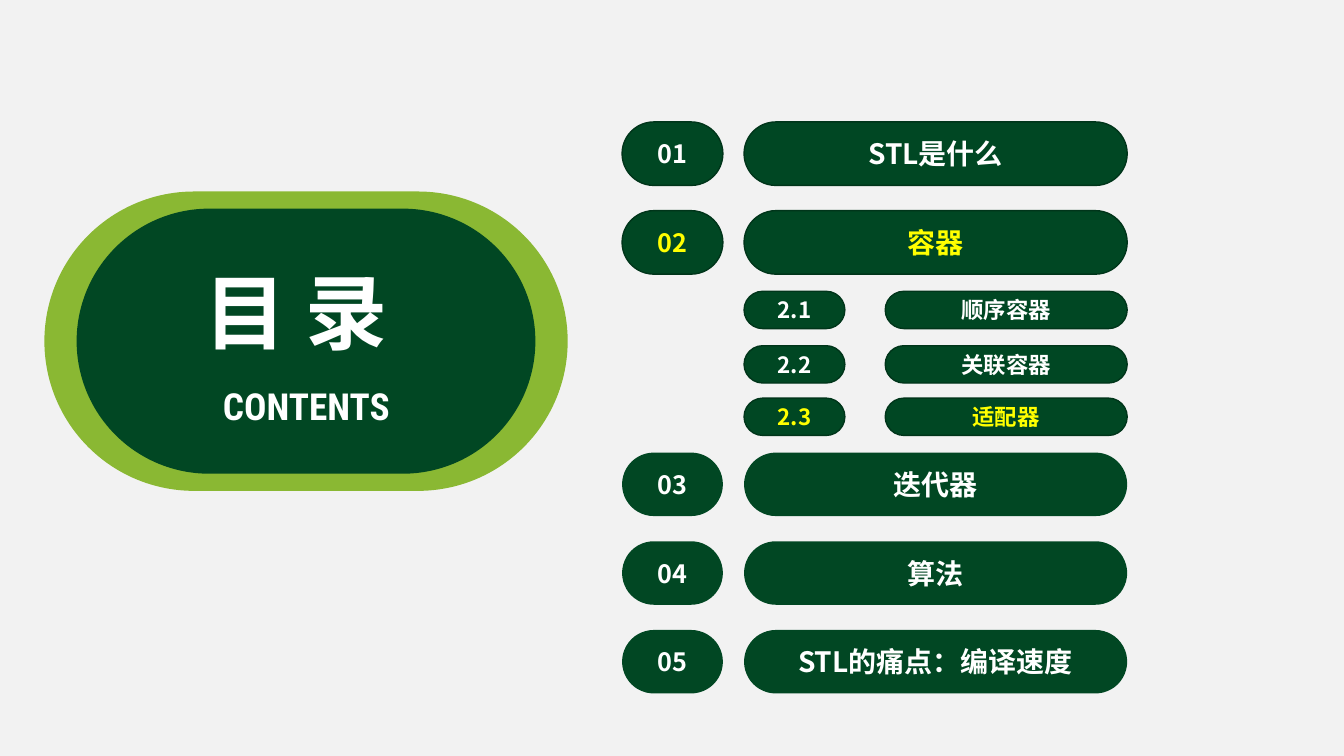
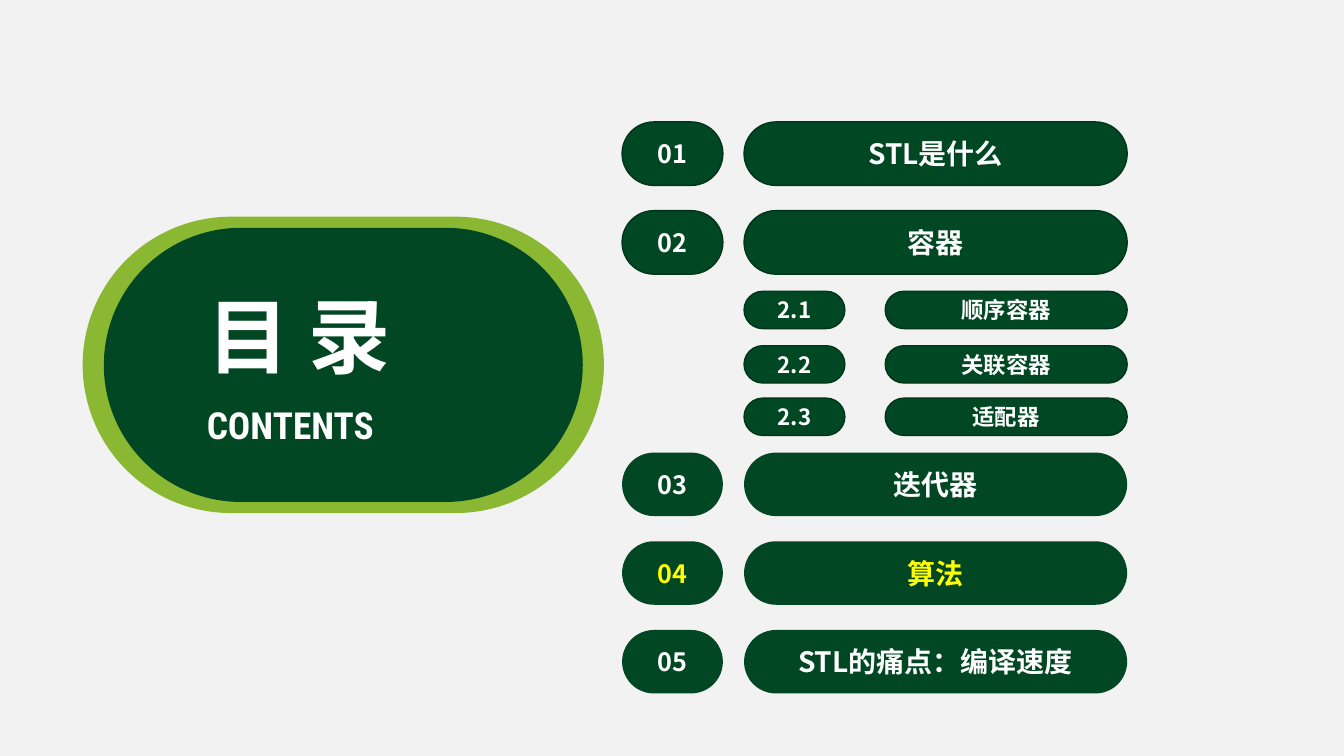
from collections import namedtuple
from dataclasses import dataclass

from lxml import etree
from pptx import Presentation
from pptx.dml.color import RGBColor
from pptx.enum.shapes import MSO_SHAPE as SHAPE
from pptx.enum.text import MSO_ANCHOR as ANCHOR, MSO_AUTO_SIZE as AUTO, PP_ALIGN as ALIGN
from pptx.oxml.ns import qn
from pptx.util import Inches, Pt


@dataclass(frozen=True)
class Theme:
    background: str = "F2F2F2"
    rim: str = "8AB833"
    green: str = "014723"
    outlined_green: str = "004723"
    outline: str = "00351A"
    text: str = "FFFFFF"
    highlight: str = "FFFF00"
    cjk_font: str = "Noto Sans CJK SC"
    latin_font: str = "Roboto Condensed"
    heading_size: float = 58.6
    subheading_size: float = 26.6
    label_size: float = 20
    number_size: float = 18
    sub_size: float = 16


THEME = Theme()
Box = namedtuple("Box", "left top width height")
Badge = namedtuple("Badge", "box rim heading_at subheading_at")

# Number, label, outlined
CHAPTERS = [
    ("01", "STL是什么", True),
    ("02", "容器", True),
    ("03", "迭代器", False),
    ("04", "算法", False),
    ("05", "STL的痛点：编译速度", False),
]
# Number, label, distance below the top of the agenda
SECTIONS = [("2.1", "顺序容器", 1.68), ("2.2", "关联容器", 2.22), ("2.3", "适配器", 2.74)]
CHAPTERS_ABOVE = 2
CHAPTER_PITCH = 0.88
LOWER_TOP = 3.28
CHAPTER_HEIGHT, SECTION_HEIGHT = 0.63, 0.37
NUMBER_WIDTH = 1
LABEL_LEFT = 1.21
SECTION_LABEL_LEFT = 2.61
AGENDA = Box(6.17, 1.21, 5.01, 5.67)

# Badge and highlighted numbers of each slide
SLIDES = [
    (Badge(Box(0.44, 1.9, 5.19, 2.97), (0.32, 0.17), (1.45, 0.64), (1.47, 1.85)),
     {"02", "2.3"}),
    (Badge(Box(0.82, 2.15, 5.17, 2.94), (0.21, 0.11), (1.1, 0.63), (0.93, 1.79)),
     {"04"}),
]


def rgb(value):
    return RGBColor.from_string(value)


def inches(box):
    return [Inches(v) for v in box]


def write(tf, text, size, color=THEME.text, font=THEME.cjk_font):
    """Put one centred bold run in a frame, with the font for both scripts."""
    p = tf.paragraphs[0]
    p.alignment = ALIGN.CENTER
    r = p.add_run()
    r.text = text
    for name, value in {"size": Pt(size), "bold": True, "name": font}.items():
        setattr(r.font, name, value)
    r.font.color.rgb = rgb(color)
    etree.SubElement(r.font._element, qn("a:ea")).set("typeface", font)


def add_pill(slide, box, fill, outlined=False):
    sp = slide.shapes.add_shape(SHAPE.ROUNDED_RECTANGLE, *inches(box))
    sp.adjustments[0] = 0.5
    sp.shadow.inherit = False
    sp.fill.solid()
    sp.fill.fore_color.rgb = rgb(fill)
    if outlined:
        sp.line.color.rgb = rgb(THEME.outline)
        sp.line.width = Pt(1)
    else:
        sp.line.fill.background()
    return sp


def add_caption(slide, box, text, size, font):
    tf = slide.shapes.add_textbox(*inches(box)).text_frame
    tf.word_wrap = False
    tf.auto_size = AUTO.SHAPE_TO_FIT_TEXT
    write(tf, text, size, font=font)


def add_badge(slide, badge):
    left, top, width, height = badge.box
    dx, dy = badge.rim
    add_pill(slide, badge.box, THEME.rim)
    add_pill(slide, Box(left + dx, top + dy, width - 2 * dx, height - 2 * dy), THEME.green)
    captions = [
        ("目 录", badge.heading_at, (2.09, 1.09), THEME.heading_size, THEME.cjk_font),
        ("CONTENTS", badge.subheading_at, (2.26, 0.55), THEME.subheading_size, THEME.latin_font),
    ]
    for text, (x, y), extent, size, font in captions:
        add_caption(slide, Box(left + x, top + y, *extent), text, size, font)


def add_entry(slide, box, label_left, texts, sizes, color, outlined):
    """Fill a row with a number pill and a label pill that ends at its right edge."""
    left, top, width, height = box
    cells = [
        Box(left, top, NUMBER_WIDTH, height),
        Box(left + label_left, top, width - label_left, height),
    ]
    fill = THEME.outlined_green if outlined else THEME.green
    for cell, text, size in zip(cells, texts, sizes):
        tf = add_pill(slide, cell, fill, outlined).text_frame
        tf.vertical_anchor = ANCHOR.MIDDLE
        write(tf, text, size, color)


def add_agenda(slide, box, highlighted):
    def color(number):
        return THEME.highlight if number in highlighted else THEME.text

    for i, (number, label, outlined) in enumerate(CHAPTERS):
        if i < CHAPTERS_ABOVE:
            offset = i * CHAPTER_PITCH
        else:
            offset = LOWER_TOP + (i - CHAPTERS_ABOVE) * CHAPTER_PITCH
        row = Box(box.left, box.top + offset, box.width, CHAPTER_HEIGHT)
        add_entry(slide, row, LABEL_LEFT, (number, label),
                  (THEME.number_size, THEME.label_size), color(number), outlined)

    for number, label, offset in SECTIONS:
        row = Box(box.left + LABEL_LEFT, box.top + offset,
                  box.width - LABEL_LEFT, SECTION_HEIGHT)
        add_entry(slide, row, SECTION_LABEL_LEFT - LABEL_LEFT, (number, label),
                  (THEME.sub_size, THEME.sub_size), color(number), True)


def main():
    prs = Presentation()
    prs.slide_width, prs.slide_height = Inches(13.33), Inches(7.5)
    background = prs.slide_master.background.fill
    background.solid()
    background.fore_color.rgb = rgb(THEME.background)
    for badge, highlighted in SLIDES:
        slide = prs.slides.add_slide(prs.slide_layouts[6])
        add_badge(slide, badge)
        add_agenda(slide, AGENDA, highlighted)
    prs.save("out.pptx")


if __name__ == "__main__":
    main()
